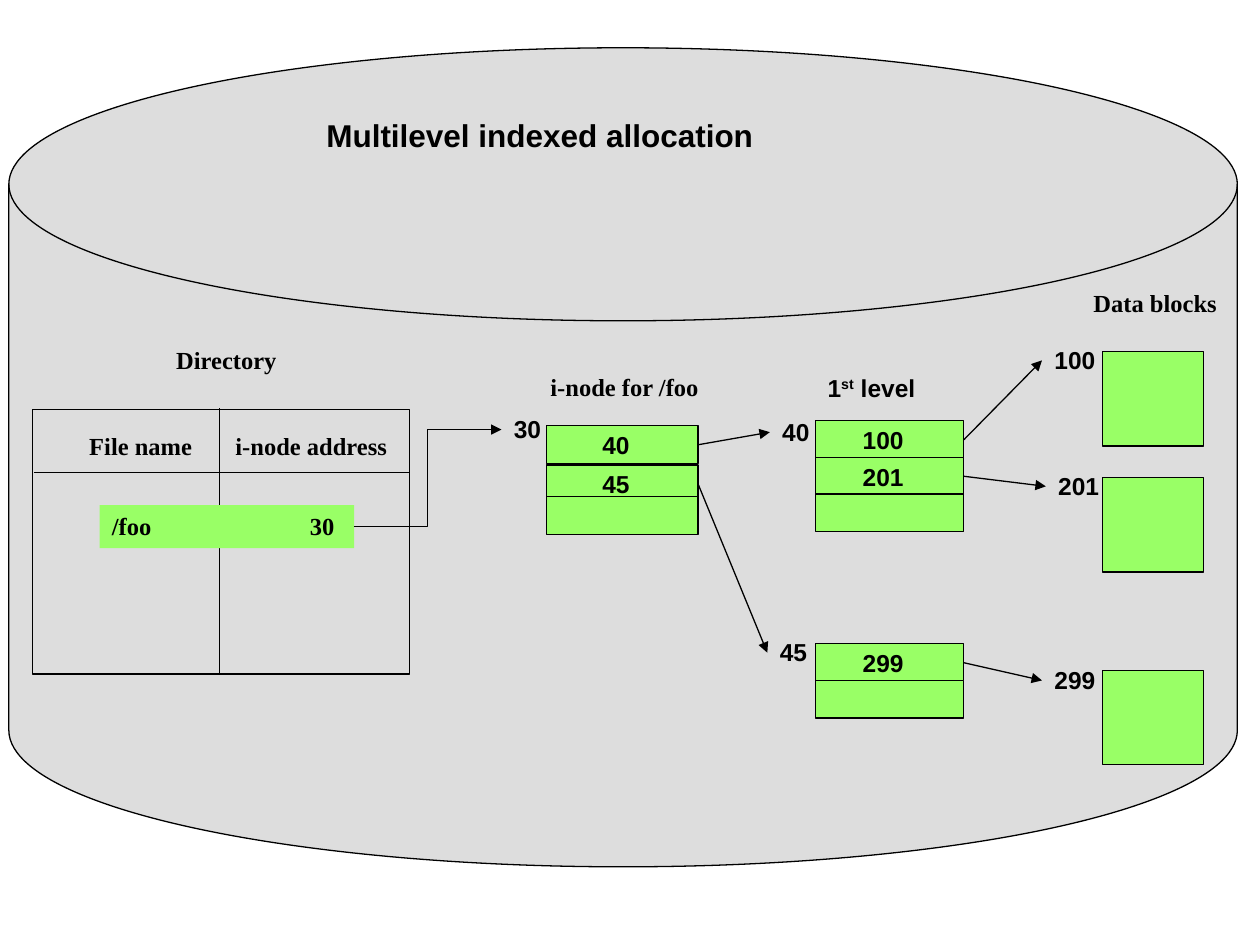
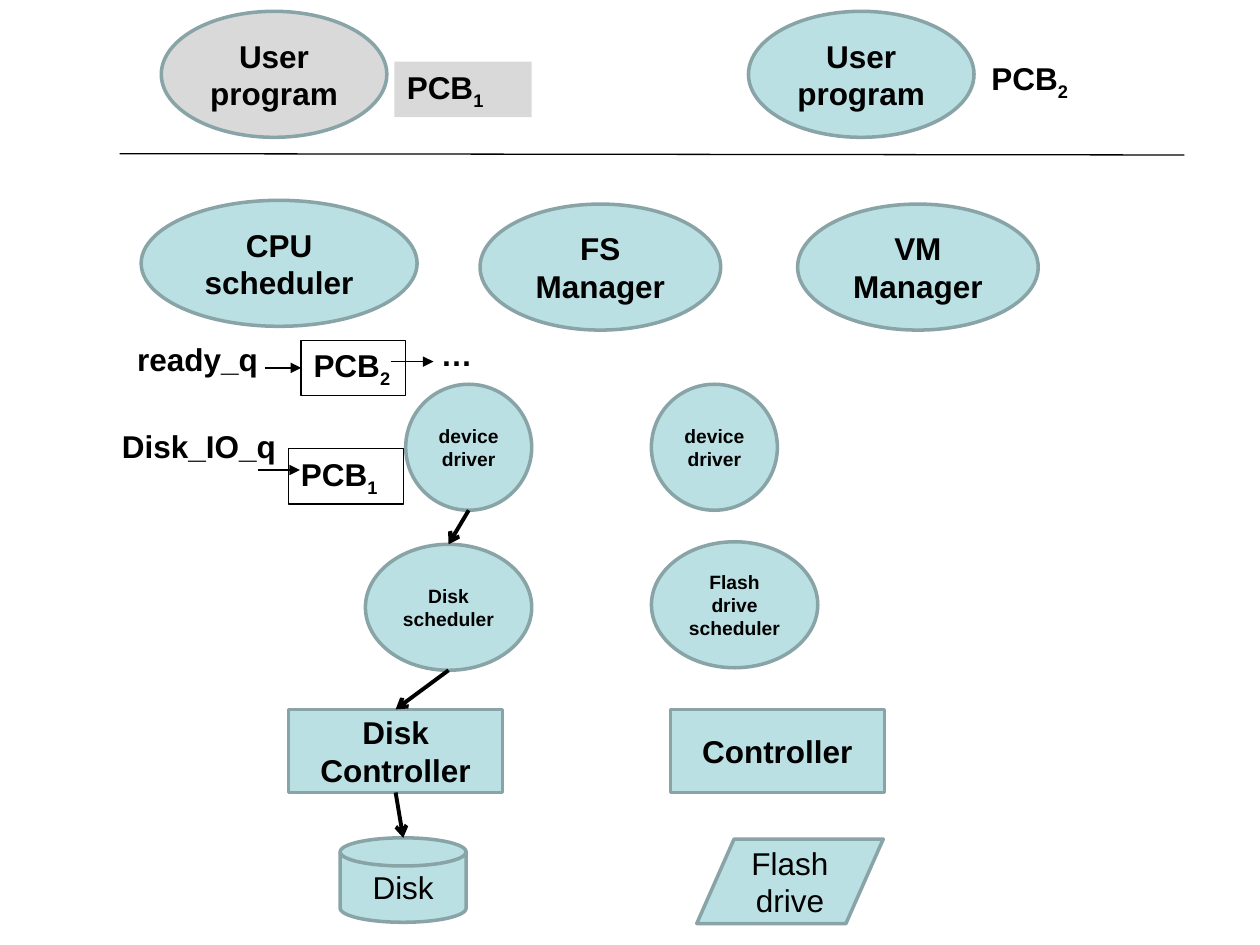
from lxml import etree
from pptx import Presentation
from pptx.dml.color import RGBColor
from pptx.enum.shapes import MSO_CONNECTOR, MSO_SHAPE
from pptx.enum.text import MSO_ANCHOR, MSO_AUTO_SIZE, PP_ALIGN
from pptx.oxml.ns import qn
from pptx.util import Inches, Pt

STRAIGHT, ELBOW = MSO_CONNECTOR.STRAIGHT, MSO_CONNECTOR.ELBOW
RECTANGLE, ELLIPSE = MSO_SHAPE.RECTANGLE, MSO_SHAPE.OVAL
DISK, PARALLELOGRAM = MSO_SHAPE.FLOWCHART_MAGNETIC_DISK, MSO_SHAPE.FLOWCHART_DATA
LEFT_ALIGN, CENTER = PP_ALIGN.LEFT, PP_ALIGN.CENTER
TOP_ANCHOR, MIDDLE = MSO_ANCHOR.TOP, MSO_ANCHOR.MIDDLE
NO_AUTOFIT = MSO_AUTO_SIZE.NONE

BLACK, GREEN, LIGHT_GRAY, GRAY = "000000", "99FF66", "DDDDDD", "D9D9D9"
TEAL, TEAL_EDGE = "BBE0E3", "89A4A7"
SANS, SERIF = "Arial", "Times New Roman"
TITLE_ONLY, BLANK = 5, 6
TOP, LEFT, BOTTOM, RIGHT = range(4)  # connection sites of a rectangle


def color(value):
    return RGBColor.from_string(value)


def inches(*values):
    return [Inches(value) for value in values]


class Deck:
    def __init__(self):
        self.presentation = Presentation()
        self.presentation.slide_width = Inches(10)
        self.presentation.slide_height = Inches(7.5)
        self.slide = None

    def new_slide(self, layout):
        layouts = self.presentation.slide_layouts
        self.slide = self.presentation.slides.add_slide(layouts[layout])

    def set_text(self, shape, text, size=18, font=SANS, bold=True, align=LEFT_ALIGN,
                 anchor=TOP_ANCHOR, tab=None):
        """Text is a string, or a list of (string, baseline percent) runs."""
        frame = shape.text_frame
        frame.word_wrap = True
        frame.auto_size = NO_AUTOFIT
        frame.vertical_anchor = anchor
        paragraph = frame.paragraphs[0]
        paragraph.alignment = align
        if tab:
            tabs = etree.SubElement(paragraph._p.get_or_add_pPr(), qn("a:tabLst"))
            etree.SubElement(tabs, qn("a:tab"), pos=str(Inches(tab)), algn="l")
        for part, baseline in [(text, 0)] if isinstance(text, str) else text:
            run = paragraph.add_run()
            run.text = part
            run.font.name = font
            run.font.size = Pt(size)
            run.font.bold = bold
            run.font.color.rgb = color(BLACK)
            if baseline:
                run._r.get_or_add_rPr().set("baseline", str(baseline * 1000))

    def title(self, text, left, top, width, height):
        title = self.slide.shapes.title
        title.left, title.top, title.width, title.height = inches(left, top, width, height)
        self.set_text(title, text)
        title.element.getparent().append(title.element)  # bring to front

    def label(self, text, left, top, width, height=0.4, **style):
        box = self.slide.shapes.add_textbox(*inches(left, top, width, height))
        self.set_text(box, text, **style)
        return box

    def shape(self, kind, left, top, width, height, fill=None, line=BLACK,
              weight=0.75, text=None, **style):
        shape = self.slide.shapes.add_shape(kind, *inches(left, top, width, height))
        shape.shadow.inherit = False
        if fill:
            shape.fill.solid()
            shape.fill.fore_color.rgb = color(fill)
        else:
            shape.fill.background()
        if line:
            shape.line.color.rgb = color(line)
            shape.line.width = Pt(weight)
        else:
            shape.line.fill.background()
        if text:
            self.set_text(shape, text, **style)
        return shape

    def node(self, kind, text, left, top, width, height=1, fill=TEAL, **style):
        return self.shape(kind, left, top, width, height, fill, TEAL_EDGE, 2, text,
                          align=CENTER, anchor=MIDDLE, **style)

    def line(self, start, end, head=None, weight=0.75, kind=STRAIGHT):
        """Start and end are (x, y) points or (shape, connection site) pairs."""
        joined = [not isinstance(point[0], (int, float)) for point in (start, end)]
        start_xy, end_xy = [(0, 0) if is_joined else point
                            for is_joined, point in zip(joined, (start, end))]
        connector = self.slide.shapes.add_connector(kind, *inches(*start_xy, *end_xy))
        if joined[0]:
            connector.begin_connect(*start)
        if joined[1]:
            connector.end_connect(*end)
        connector.line.color.rgb = color(BLACK)
        connector.line.width = Pt(weight)
        if head:
            etree.SubElement(connector.line._get_or_add_ln(), qn("a:tailEnd"), type=head)
        etree.SubElement(connector._element.spPr, qn("a:effectLst"))

    def index_block(self, left, width, tops, entries):
        cells = []
        for top, entry in zip(tops, entries):
            cell = self.shape(RECTANGLE, left, top, width, 0.3, GREEN, text=entry,
                              size=14, align=CENTER, anchor=MIDDLE)
            cell.text_frame.margin_right = Inches(0.2)
            cells.append(cell)
        return cells


def indexed_allocation(deck):
    deck.new_slide(TITLE_ONLY)
    deck.shape(DISK, 0.07, 0.38, 9.75, 6.5, LIGHT_GRAY)

    # Directory
    serif = {"size": 14, "font": SERIF}
    deck.label("File name\ti-node address", 0.61, 3.37, 2.71, 0.34, tab=1.16, **serif)
    deck.shape(RECTANGLE, 0.26, 3.25, 2.99, 2.1)
    deck.line((1.74, 3.24), (1.74, 5.35))
    deck.line((0.27, 3.75), (3.25, 3.75))
    entry = deck.shape(RECTANGLE, 0.79, 4.01, 2.02, 0.34, GREEN, None,
                       text="/foo\t30", tab=1.57, **serif)

    # Headings
    for text, left, top, width in [("Directory", 1.3, 2.69, 1.29),
                                   ("i-node for /foo", 4.27, 2.9, 1.48),
                                   ("Data blocks", 8.58, 2.24, 1.32)]:
        deck.label(text, left, top, width, 0.34, **serif)
    deck.label([("1", 0), ("st", 30), (" level", 0)], 6.47, 2.91, 1, 0.34, size=14)

    # Index blocks and data blocks
    inode = deck.index_block(4.34, 1.2, (3.38, 3.69, 3.94), ("40", "45", None))
    first = deck.index_block(6.47, 1.18, (3.34, 3.63, 3.92), ("100", "201", None))
    second = deck.index_block(6.47, 1.18, (5.11, 5.4), ("299", None))
    for top in (2.79, 3.79, 5.32):
        deck.shape(RECTANGLE, 8.75, top, 0.8, 0.75, GREEN)

    # Block addresses, each reached by an arrow from the entry that holds it
    for source, address, left, top, width in [
            (entry, "30", 3.98, 3.24, 0.5),
            (inode[0], "40", 6.11, 3.26, 0.52),
            (inode[1], "45", 6.09, 5.01, 0.52),
            (first[0], "100", 8.27, 2.69, 0.63),
            (first[1], "201", 8.3, 3.69, 0.63),
            (second[0], "299", 8.27, 5.23, 0.63)]:
        target = deck.label(address, left, top, width, 0.34, size=14)
        deck.line((source, RIGHT), (target, LEFT), "triangle",
                  kind=ELBOW if source is entry else STRAIGHT)

    deck.title("Multilevel indexed allocation", 2.49, 0.87, 3.8, 0.4)


def system_layers(deck):
    deck.new_slide(BLANK)
    pcb1, pcb2 = [[("PCB", 0), (number, -25)] for number in "12"]

    # User programs above the kernel boundary
    deck.line((0.95, 1.22), (9.4, 1.23))
    deck.node(ELLIPSE, "User program", 1.28, 0.09, 1.79, fill=GRAY)
    deck.node(ELLIPSE, "User program", 5.94, 0.09, 1.79)
    deck.shape(RECTANGLE, 3.13, 0.49, 1.09, 0.44, GRAY, None, text=pcb1)
    deck.label(pcb2, 7.77, 0.42, 0.93, 0.44)

    # Kernel managers
    deck.node(ELLIPSE, "CPU scheduler", 1.12, 1.59, 2.19)
    deck.node(ELLIPSE, "FS Manager", 3.81, 1.62, 1.91)
    deck.node(ELLIPSE, "VM Manager", 6.33, 1.62, 1.91)

    # Drivers, schedulers, controllers and devices
    for left in (3.22, 5.17):
        deck.node(ELLIPSE, "device driver", left, 3.05, 1, size=11)
    deck.node(ELLIPSE, "Disk scheduler", 2.9, 4.32, 1.32, size=11)
    deck.node(ELLIPSE, "Flash drive scheduler", 5.17, 4.3, 1.32, size=11)
    controller = deck.node(RECTANGLE, "Disk Controller", 2.29, 5.63, 1.7, 0.66)
    deck.node(RECTANGLE, "Controller", 5.32, 5.63, 1.7, 0.66)
    deck.node(DISK, "Disk", 2.7, 6.65, 1, 0.67, bold=False)
    deck.node(PARALLELOGRAM, "Flash drive", 5.53, 6.66, 1.48, 0.67, bold=False)

    # Path of a disk request
    for start, end in [((3.72, 4.05), (3.56, 4.32)),
                       ((3.56, 5.32), (controller, TOP)),
                       ((controller, BOTTOM), (3.2, 6.65))]:
        deck.line(start, end, "arrow", 2.25)

    # Queues
    deck.label("ready_q", 0.99, 2.65, 1.33)
    deck.label("Disk_IO_q", 0.87, 3.34, 1.64)
    deck.label("…", 3.4, 2.61, 0.45)
    ready = deck.shape(RECTANGLE, 2.39, 2.7, 0.83, 0.44, text=pcb2)
    deck.shape(RECTANGLE, 2.29, 3.56, 0.91, 0.44, text=pcb1)
    for start, end in [((2.1, 2.92), (ready, LEFT)),
                       ((3.1, 2.87), (3.44, 2.87)),
                       ((2.05, 3.73), (2.38, 3.73))]:
        deck.line(start, end, "triangle")


def main():
    deck = Deck()
    indexed_allocation(deck)
    system_layers(deck)
    deck.presentation.save("out.pptx")


if __name__ == "__main__":
    main()
